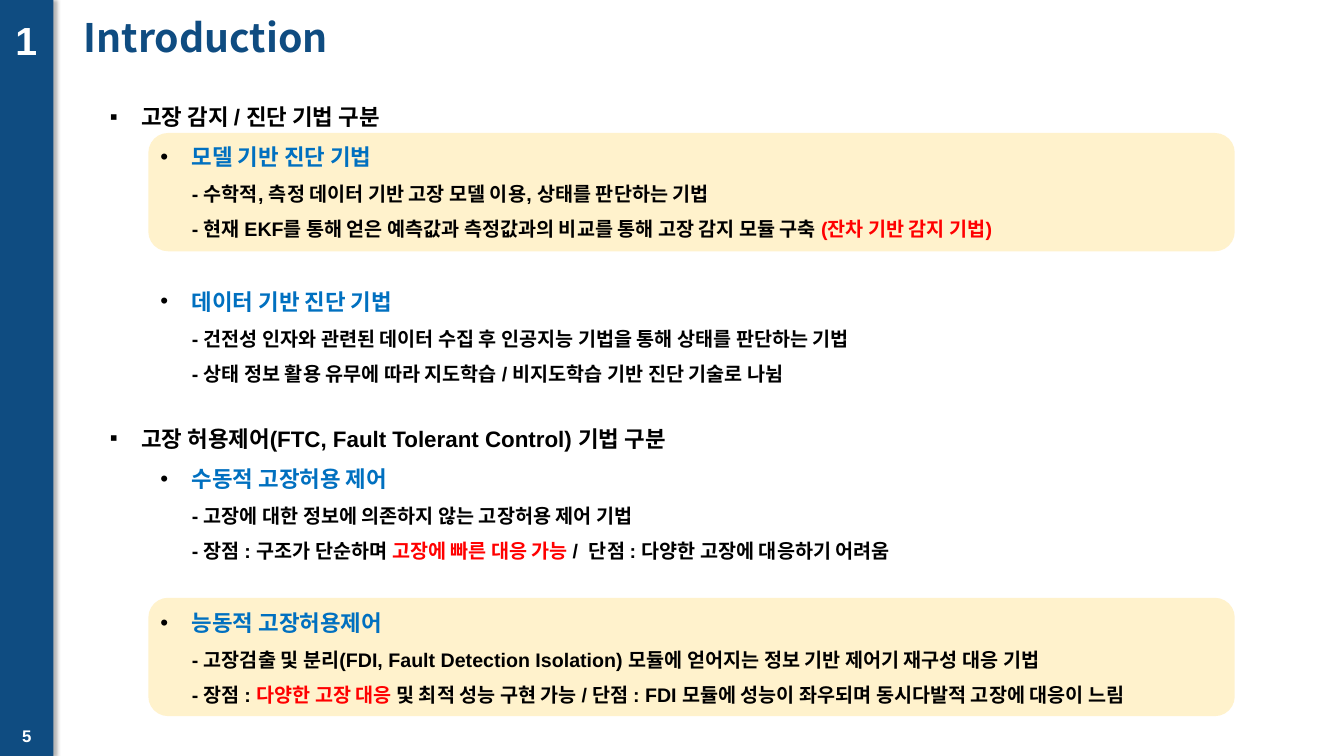
import pptx
import pptx.dml.color
import pptx.enum.shapes
import pptx.enum.text
import pptx.oxml
import pptx.util
from pptx.oxml.ns import nsdecls

Pt = pptx.util.Pt
ALIGN = pptx.enum.text.PP_ALIGN
ANCHOR = pptx.enum.text.MSO_ANCHOR
SHAPE = pptx.enum.shapes.MSO_SHAPE

COLORS = {"navy": "0F4C81", "cream": "FFF2CC", "blue": "0070C0",
          "red": "FF0000", "black": "000000", "white": "FFFFFF"}

SECTION_NUMBER, PAGE_NUMBER, TITLE = "1", "5", "Introduction"

# Each topic: heading, then methods; each method: name, then detail lines.
# A detail line is a list of (text, color) pieces.
TOPICS = [
    ("고장 감지 / 진단 기법 구분", [
        ("모델 기반 진단 기법", [
            [("- 수학적, 측정 데이터 기반 고장 모델 이용, 상태를 판단하는 기법", "black")],
            [("- 현재 EKF를 통해 얻은 예측값과 측정값과의 비교를 통해 고장 감지 모듈 구축 ", "black"),
             ("(잔차 기반 감지 기법)", "red")],
        ]),
        ("데이터 기반 진단 기법", [
            [("- 건전성 인자와 관련된 데이터 수집 후 인공지능 기법을 통해 상태를 판단하는 기법", "black")],
            [("- 상태 정보 활용 유무에 따라 지도학습 / 비지도학습 기반 진단 기술로 나뉨", "black")],
        ]),
    ]),
    ("고장 허용제어(FTC, Fault Tolerant Control) 기법 구분", [
        ("수동적 고장허용 제어", [
            [("- 고장에 대한 정보에 의존하지 않는 고장허용 제어 기법", "black")],
            [("- 장점 : 구조가 단순하며 ", "black"), ("고장에 빠른 대응 가능 ", "red"),
             ("/  단점 : 다양한 고장에 대응하기 어려움", "black")],
        ]),
        ("능동적 고장허용제어", [
            [("- 고장검출 및 분리(FDI, Fault Detection Isolation) 모듈에 얻어지는 정보 기반 "
              "제어기 재구성 대응 기법", "black")],
            [("- 장점 : ", "black"), ("다양한 고장 대응", "red"),
             (" 및 최적 성능 구현 가능 / 단점 : FDI 모듈에 성능이 좌우되며 "
              "동시다발적 고장에 대응이 느림", "black")],
        ]),
    ]),
]

SLIDE_WIDTH, SLIDE_HEIGHT = 960, 540
BAR_WIDTH = 38.2
TOPIC_LEFT, TOPIC_TOPS, TOPIC_SIZE = 71.3, (60.5, 290.2), (888.7, 221.8)
HIGHLIGHT_LEFT, HIGHLIGHT_TOPS, HIGHLIGHT_SIZE = 106, (95, 427), (776, 84.5)
HEADING_INDENT, METHOD_INDENT, HANGING = 22.5, 58.5, 22.5
HEADING_SIZE, DETAIL_SIZE, METHOD_GAP = 16, 14, 24


def rgb(color):
    return pptx.dml.color.RGBColor.from_string(COLORS[color])


def style_run(run, size, color, face="Arial"):
    run.font.name, run.font.size, run.font.bold = face, Pt(size), True
    run.font.color.rgb = rgb(color)


def place(shape, left, top, width, height):
    shape.left, shape.top, shape.width, shape.height = map(Pt, (left, top, width, height))


def add_block(kind, left, top, width, height, color):
    block = slide.shapes.add_shape(kind, *map(Pt, (left, top, width, height)))
    block.shadow.inherit = False
    block.fill.solid()
    block.fill.fore_color.rgb = rgb(color)
    block.line.fill.background()
    title.element.addprevious(block.element)
    return block


def add_bar_label(text, left, top, width, height, size):
    label = slide.shapes.add_textbox(*map(Pt, (left, top, width, height)))
    frame = label.text_frame
    frame.word_wrap = True
    frame.vertical_anchor = ANCHOR.MIDDLE
    frame.text = text
    frame.paragraphs[0].alignment = ALIGN.CENTER
    style_run(frame.paragraphs[0].runs[0], size, "white")


def write_line(paragraph, pieces, size, indent, bullet=None, gap=0):
    props = paragraph._p.get_or_add_pPr()
    props.set("marL", str(Pt(indent)))
    props.set("indent", str(Pt(-HANGING) if bullet else 0))
    if bullet:
        marks = (f'<a:buClr {nsdecls("a")}><a:srgbClr val="{COLORS["black"]}"/></a:buClr>',
                 f'<a:buFont {nsdecls("a")} typeface="Arial"/>',
                 f'<a:buChar {nsdecls("a")} char="{bullet}"/>')
    else:
        marks = (f'<a:buNone {nsdecls("a")}/>',)
    for mark in marks:
        props.append(pptx.oxml.parse_xml(mark))
    paragraph.line_spacing = 1.5
    paragraph.space_before, paragraph.space_after = Pt(gap), Pt(0)
    for text, color in pieces:
        run = paragraph.add_run()
        run.text = text
        style_run(run, size, color)


def write_topic(frame, heading, methods):
    frame.word_wrap = True
    frame.auto_size = pptx.enum.text.MSO_AUTO_SIZE.NONE
    write_line(frame.paragraphs[0], [(heading, "black")], HEADING_SIZE, HEADING_INDENT, "▪")
    for index, (method, details) in enumerate(methods):
        write_line(frame.add_paragraph(), [(method, "blue")], HEADING_SIZE,
                   METHOD_INDENT, "•", METHOD_GAP if index else 0)
        for pieces in details:
            write_line(frame.add_paragraph(), pieces, DETAIL_SIZE, METHOD_INDENT)


presentation = pptx.Presentation()
presentation.slide_width, presentation.slide_height = Pt(SLIDE_WIDTH), Pt(SLIDE_HEIGHT)
slide = presentation.slides.add_slide(presentation.slide_layouts.get_by_name("Two Content"))
title, *topic_bodies = slide.placeholders

bar = add_block(SHAPE.RECTANGLE, 0, 0, BAR_WIDTH, SLIDE_HEIGHT, "navy")
bar.element.spPr.find(pptx.oxml.ns.qn("a:effectLst")).append(pptx.oxml.parse_xml(
    f'<a:outerShdw {nsdecls("a")} blurRad="{Pt(3)}" dist="{Pt(2)}" dir="0">'
    f'<a:srgbClr val="{COLORS["black"]}"><a:alpha val="30000"/></a:srgbClr></a:outerShdw>'))
for top in HIGHLIGHT_TOPS:
    add_block(SHAPE.ROUNDED_RECTANGLE, HIGHLIGHT_LEFT, top, *HIGHLIGHT_SIZE, "cream")

place(title, 52.6, 4.3, 859.7, 48.2)
title.text_frame.text = TITLE
title.text_frame.vertical_anchor = ANCHOR.MIDDLE
title.text_frame.auto_size = pptx.enum.text.MSO_AUTO_SIZE.NONE
title.text_frame.paragraphs[0].alignment = ALIGN.LEFT
title.text_frame.paragraphs[0].line_spacing = 0.9
style_run(title.text_frame.paragraphs[0].runs[0], 28, "navy", "Noto Sans CJK KR")

for body, top, (heading, methods) in zip(topic_bodies, TOPIC_TOPS, TOPICS):
    place(body, TOPIC_LEFT, top, *TOPIC_SIZE)
    write_topic(body.text_frame, heading, methods)

add_bar_label(SECTION_NUMBER, 0, 8, 37.4, 41, 28)
add_bar_label(PAGE_NUMBER, -5, 511.2, 48.2, 28.8, 12)

presentation.save("out.pptx")
